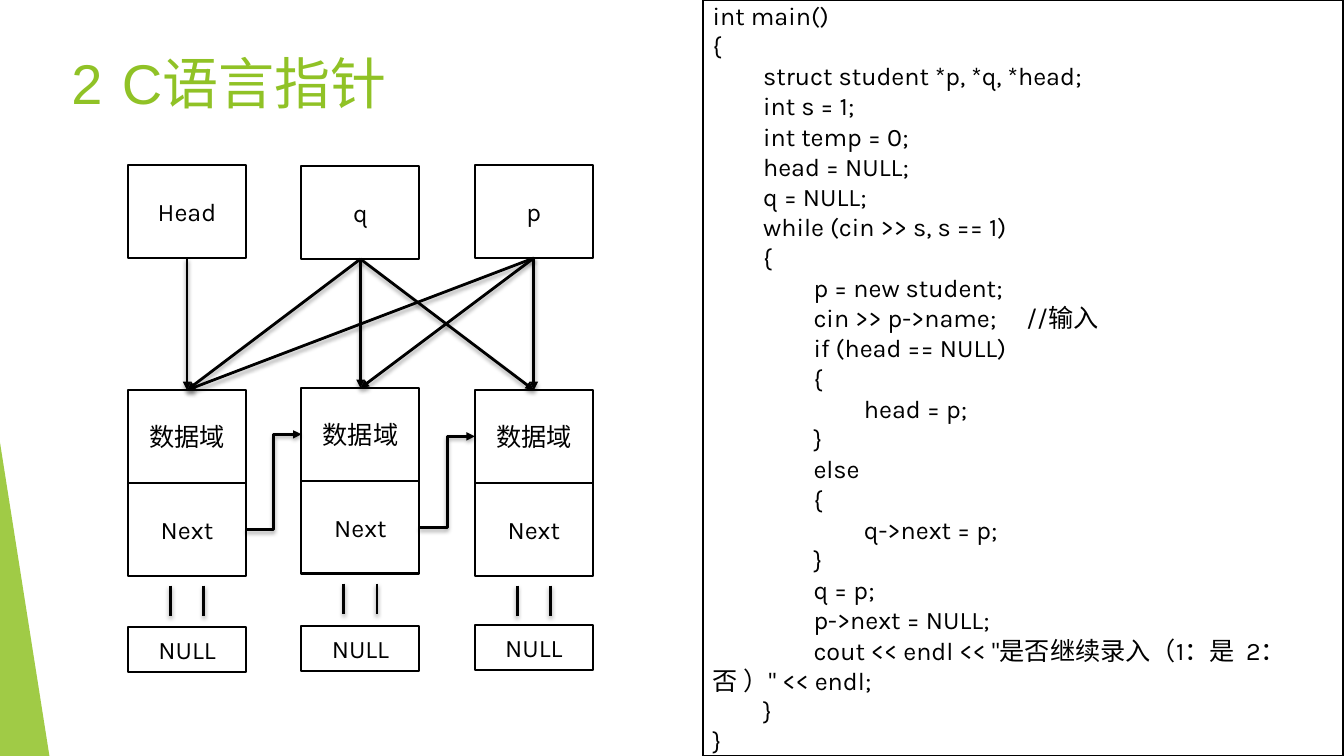
from lxml import etree
from pptx import Presentation, util as u
from pptx.dml.color import RGBColor
from pptx.enum import shapes, text
from pptx.oxml import parse_xml
from pptx.oxml.ns import qn

NAMESPACE = 'xmlns:a="http://schemas.openxmlformats.org/drawingml/2006/main"'
SHADOW = (
    f'<a:effectLst {NAMESPACE}><a:outerShdw blurRad="38100" dist="25400" dir="5400000" '
    'rotWithShape="0"><a:srgbClr val="000000"><a:alpha val="35000"/></a:srgbClr>'
    '</a:outerShdw></a:effectLst>'
)
GREEN, BLACK, WHITE = "90C226", "000000", "FFFFFF"
CODE = """int main()
{
\tstruct student *p, *q, *head;
\tint s = 1;
\tint temp = 0;
\thead = NULL;
\tq = NULL;
\twhile (cin >> s, s == 1)
\t{
\t\tp = new student;
\t\tcin >> p->name;     //输入
\t\tif (head == NULL)
\t\t{
\t\t\thead = p;
\t\t}
\t\telse
\t\t{
\t\t\tq->next = p;
\t\t}
\t\tq = p;
\t\tp->next = NULL;
\t\tcout << endl << "是否继续录入（1：是  2：否 ）" << endl;
\t}
}"""

deck = Presentation()
deck.slide_width, deck.slide_height = u.Inches(13.33), u.Inches(7.5)
page = deck.slides.add_slide(deck.slide_layouts[6])


def add_box(place, words, fill=WHITE, align="CENTER", anchor="MIDDLE", size=18, font="Karla",
            color=BLACK, kind="RECTANGLE"):
    box = page.shapes.add_shape(shapes.MSO_SHAPE[kind], *map(u.Inches, place))
    box.shadow.inherit = False
    if fill == WHITE:
        box.line.color.rgb = RGBColor.from_string(BLACK)
        box.line.width = u.Pt(1.5)
    else:
        box.line.fill.background()
    if fill:
        box.fill.solid()
        box.fill.fore_color.rgb = RGBColor.from_string(fill)
    else:
        box.fill.background()
    frame = box.text_frame
    frame.word_wrap = True
    frame.vertical_anchor = text.MSO_ANCHOR[anchor]
    for number, line in enumerate(words.split("\n") if words else []):
        para = frame.add_paragraph() if number else frame.paragraphs[0]
        para.alignment = text.PP_ALIGN[align]
        para._p.get_or_add_pPr().set("defTabSz", str(u.Inches(0.5)))
        span = para.add_run()
        span.text = line
        for name, value in {"size": u.Pt(size), "name": font}.items():
            setattr(span.font, name, value)
        span.font.color.rgb = RGBColor.from_string(color)
    return box


def add_line(start, end, kind="STRAIGHT", arrow=True):
    line = page.shapes.add_connector(shapes.MSO_CONNECTOR[kind], *map(u.Inches, start + end))
    line.line.color.rgb = RGBColor.from_string(BLACK)
    line.line.width = u.Pt(2)
    if arrow:
        etree.SubElement(line.line._get_or_add_ln(), qn("a:tailEnd"), type="triangle")
    line._element.spPr.append(parse_xml(SHADOW))


wedge = add_box((0, 4.39, 0.49, 3.11), "", GREEN, kind="ISOSCELES_TRIANGLE")
wedge.adjustments[0] = 0
tint = wedge._element.spPr.find(".//" + qn("a:srgbClr"))
etree.SubElement(tint, qn("a:alpha"), val="85000")

add_box((0.61, 0.43, 6.3, 0.92), "2\tC语言指针", None, "LEFT", "TOP", 40, "Arial", GREEN)
add_box((6.97, 0, 6.35, 7.5), CODE, align="LEFT")

width, height, pitch = 1.17, 0.92, 1.72
lefts = [1.27 + pitch * column for column in range(3)]
centers = [left + width / 2 for left in lefts]
pointer_tops = [1.64, 1.65, 1.64]
node_tops = [3.87, 3.85, 3.87]
null_tops = [6.22, 6.21, 6.2]

for name, left, pointer_top, node_top, null_top in zip(
        ["Head", "q", "p"], lefts, pointer_tops, node_tops, null_tops):
    add_box((left, pointer_top, width, height), name)
    add_box((left, node_top, width, height), "数据域")
    add_box((left, node_top + height, width, height), "Next")
    add_box((left, null_top, width, 0.45), "NULL")
    for offset in (0.42, 0.75):
        tick = left + offset
        add_line((tick, node_top + 1.94), (tick, node_top + 2.24), arrow=False)

for pointer, node in [(0, 0), (1, 0), (1, 1), (1, 2), (2, 0), (2, 1), (2, 2)]:
    add_line((centers[pointer], pointer_tops[pointer] + height), (centers[node], node_tops[node]))

for node in range(2):
    add_line((lefts[node] + width, node_tops[node] + 1.5 * height),
             (lefts[node + 1], node_tops[node + 1] + height / 2), "ELBOW")

deck.save("out.pptx")
